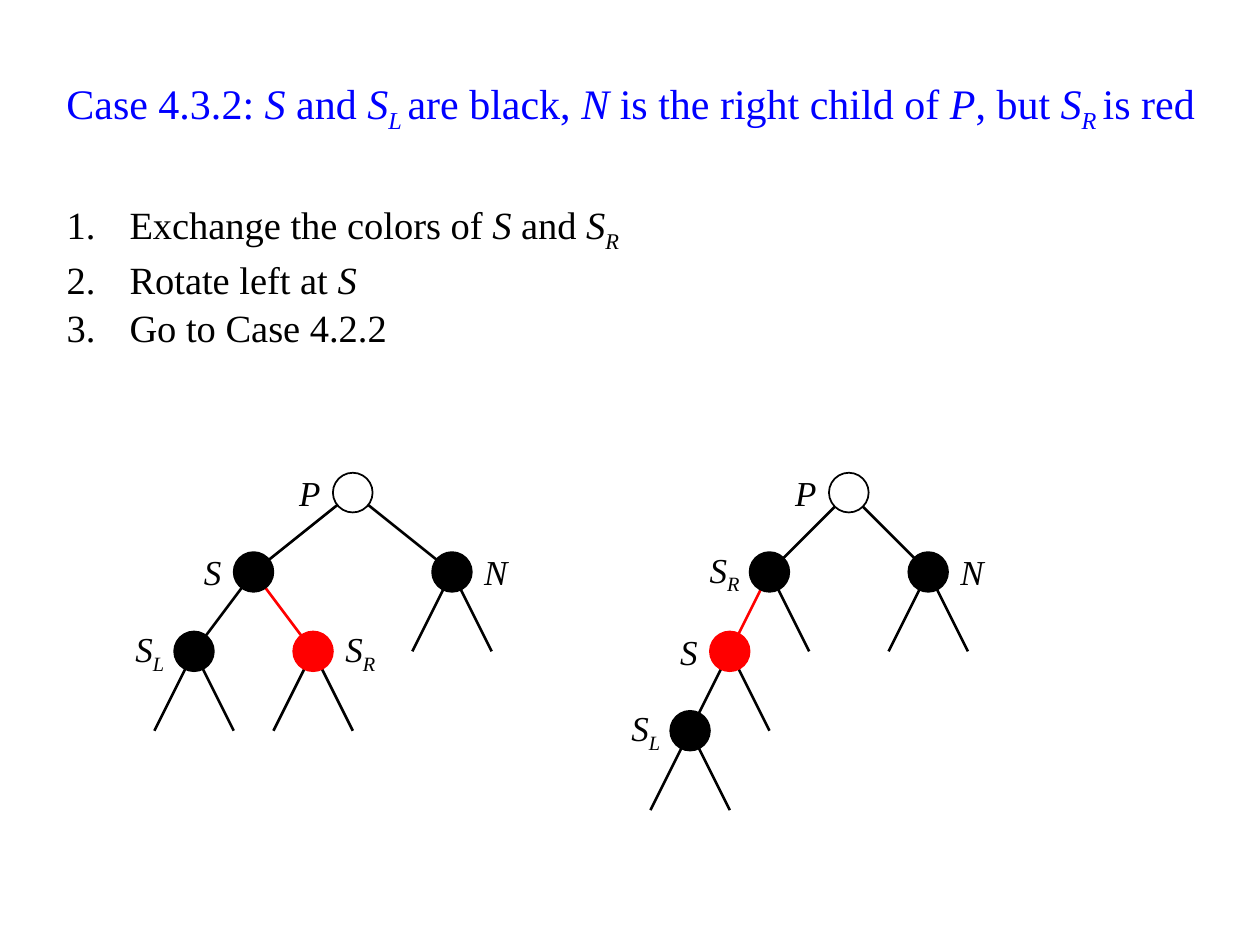
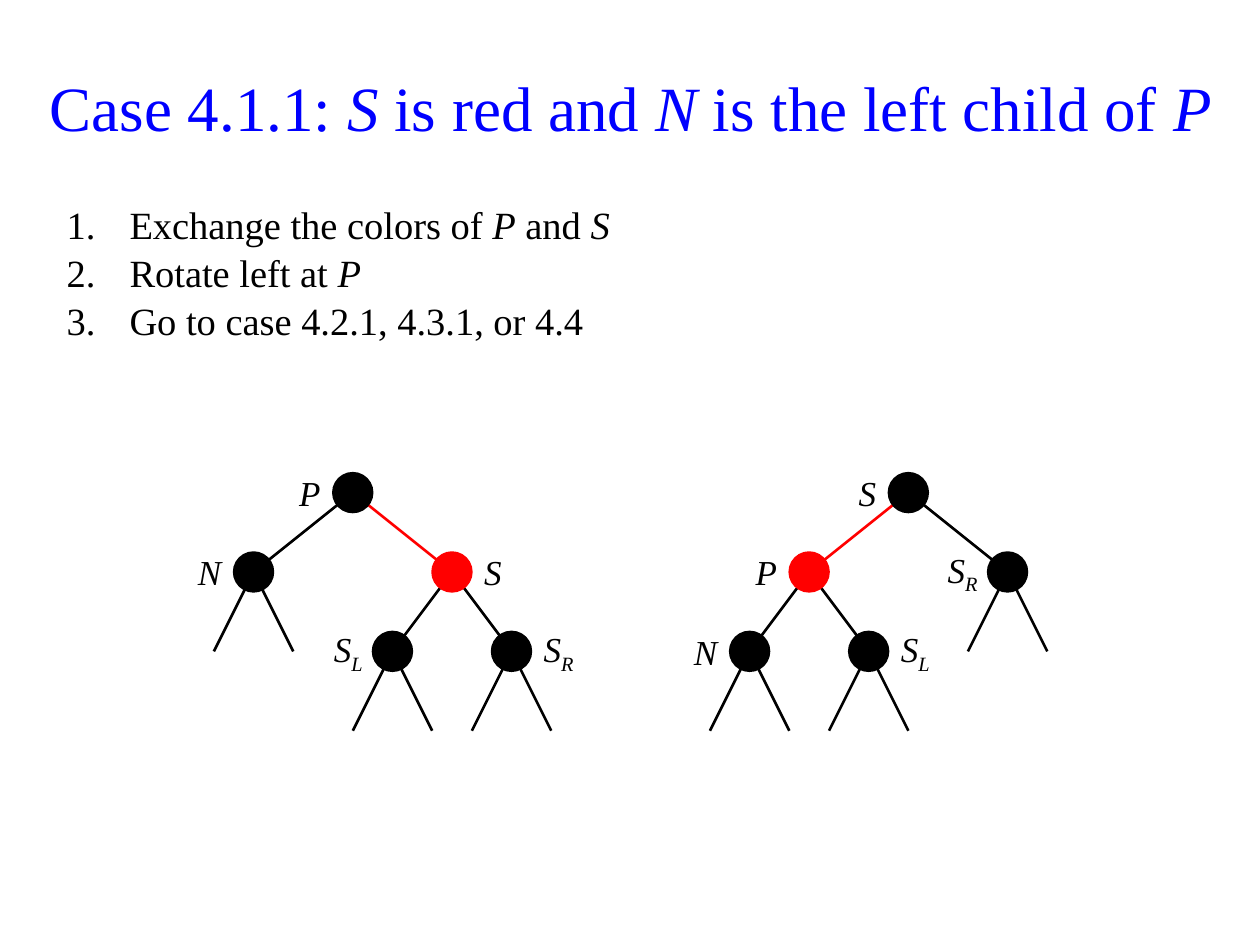
from collections import namedtuple
from lxml import etree
from pptx import Presentation
from pptx.dml.color import RGBColor as RGB
from pptx.enum.shapes import MSO_CONNECTOR as LINE, MSO_SHAPE as SHAPE
from pptx.enum.text import MSO_ANCHOR as ANCHOR, PP_ALIGN as ALIGN
from pptx.oxml.ns import qn
from pptx.util import Inches, Mm, Pt

# Theme: colours, font and type sizes
THEME = dict(
    font="Times New Roman", title=RGB(0, 0, 255), black=RGB(0, 0, 0),
    red=RGB(255, 0, 0), white=RGB(255, 255, 255),
    body_size=22, label_size=20, edge=1.5, outline=1)

# Content. In text, *...* is italic and, inside it, _ starts a subscript.
# A node has a column (in grid units), a label side and two subtrees;
# a missing subtree is drawn as a short open edge.
Node = namedtuple("Node", "label col color side left right",
                  defaults=("black", "left", None, None))

SLIDES = [
    dict(title="Case 4.3.2: *S* and *S_L *are black, *N* is the right child "
               "of *P*, but *S_R *is red",
         title_size=24,
         steps=["Exchange the colors of *S *and *S_R*",
                "Rotate left at *S*",
                "Go to Case 4.2.2"],
         trees=[
             Node("P", 0, "white",
                  left=Node("S", -5,
                            left=Node("S_L", -8),
                            right=Node("S_R", -2, "red", "right")),
                  right=Node("N", 5, side="right")),
             Node("P", 25, "white",
                  left=Node("S_R", 21,
                            left=Node("S", 19, "red",
                                      left=Node("S_L", 17))),
                  right=Node("N", 29, side="right"))]),
    dict(title="Case 4.1.1: *S* is red and *N* is the left child of *P*",
         title_size=36,
         steps=["Exchange the colors of *P* and *S*",
                "Rotate left at *P*",
                "Go to case 4.2.1, 4.3.1, or 4.4"],
         trees=[
             Node("P", 0,
                  left=Node("N", -5),
                  right=Node("S", 5, "red", "right",
                             left=Node("S_L", 2),
                             right=Node("S_R", 8, side="right"))),
             Node("S", 28,
                  left=Node("P", 23, "red",
                            left=Node("N", 20),
                            right=Node("S_L", 26, side="right")),
                  right=Node("S_R", 33))]),
]

# Grid: one unit is a node's radius, one row is four units
UNIT = Mm(4)
ROW = 4 * UNIT
ORIGIN = Inches(2.8), Inches(3.91)
STUB = 2
TITLE_BOX = [Inches(v) for v in (0.28, 0.29, 9.45, 1.1)]
BODY_BOX = [Inches(v) for v in (0.43, 1.55, 9.13, 1.26)]


def add_runs(p, text, size, color):
    """Split marked-up text into plain, italic and subscript runs."""
    for i, part in enumerate(text.split("*")):
        italic = i % 2 == 1
        for j, piece in enumerate(part.split("_")):
            if not piece:
                continue
            r = p.add_run()
            r.text = piece
            values = dict(name=THEME["font"], size=Pt(size), italic=italic)
            for key, value in values.items():
                setattr(r.font, key, value)
            r.font.color.rgb = color
            if j:
                r._r.get_or_add_rPr().set("baseline", "-25000")


def add_text(slide, box, lines, size, color, align=ALIGN.LEFT, before=0,
             **frame):
    tf = slide.shapes.add_textbox(*box).text_frame
    for key, value in dict(word_wrap=True, **frame).items():
        setattr(tf, key, value)
    for i, line in enumerate(lines):
        p = tf.add_paragraph() if i else tf.paragraphs[0]
        p.alignment, p.space_before = align, Pt(before)
        add_runs(p, line, size, color)
    return tf


def number(p):
    """Turn a paragraph into an automatically numbered step."""
    pPr = p._p.get_or_add_pPr()
    pPr.set("marL", str(Inches(0.5)))
    pPr.set("indent", str(-Inches(0.5)))
    etree.SubElement(pPr, qn("a:buFont"), typeface=THEME["font"])
    etree.SubElement(pPr, qn("a:buAutoNum"), type="arabicPeriod")


def place(col, row):
    return ORIGIN[0] + col * UNIT, ORIGIN[1] + row * ROW


def add_edge(slide, start, end, color):
    c = slide.shapes.add_connector(LINE.STRAIGHT, *start, *end)
    c.line.color.rgb, c.line.width = THEME[color], Pt(THEME["edge"])
    etree.SubElement(c._element.spPr, qn("a:effectLst"))


def add_node(slide, node, row=0):
    x, y = place(node.col, row)

    # Edges and subtrees go behind the node; an edge to a red child is red
    for child, sign in ((node.left, -1), (node.right, 1)):
        col = child.col if child else node.col + sign * STUB
        color = "red" if child and child.color == "red" else "black"
        add_edge(slide, (x, y), place(col, row + 1), color)
        if child:
            add_node(slide, child, row + 1)

    # Circle
    sp = slide.shapes.add_shape(SHAPE.OVAL, x - UNIT, y - UNIT,
                                2 * UNIT, 2 * UNIT)
    sp.shadow.inherit = False
    sp.fill.solid()
    sp.fill.fore_color.rgb = THEME[node.color]
    sp.line.color.rgb = THEME["red" if node.color == "red" else "black"]
    sp.line.width = Pt(THEME["outline"])

    # Label beside the circle
    on_left = node.side == "left"
    box = (x - 4 * UNIT if on_left else x + UNIT, y - ROW // 2, 3 * UNIT, ROW)
    add_text(slide, box, [f"*{node.label}*"], THEME["label_size"],
             THEME["black"], ALIGN.RIGHT if on_left else ALIGN.LEFT,
             vertical_anchor=ANCHOR.MIDDLE,
             margin_right=Inches(0.08 if "_" in node.label else 0.1))


prs = Presentation()
prs.slide_width, prs.slide_height = Inches(10), Inches(7.5)
for item in SLIDES:
    slide = prs.slides.add_slide(prs.slide_layouts[6])
    size = item["title_size"]
    add_text(slide, TITLE_BOX, [item["title"]], size, THEME["title"],
             ALIGN.CENTER, before=size * 0.2, vertical_anchor=ANCHOR.MIDDLE)
    steps = add_text(slide, BODY_BOX, item["steps"], THEME["body_size"],
                     THEME["black"], before=1)
    for p in steps.paragraphs:
        number(p)
    for tree in item["trees"]:
        add_node(slide, tree)
prs.save("out.pptx")
